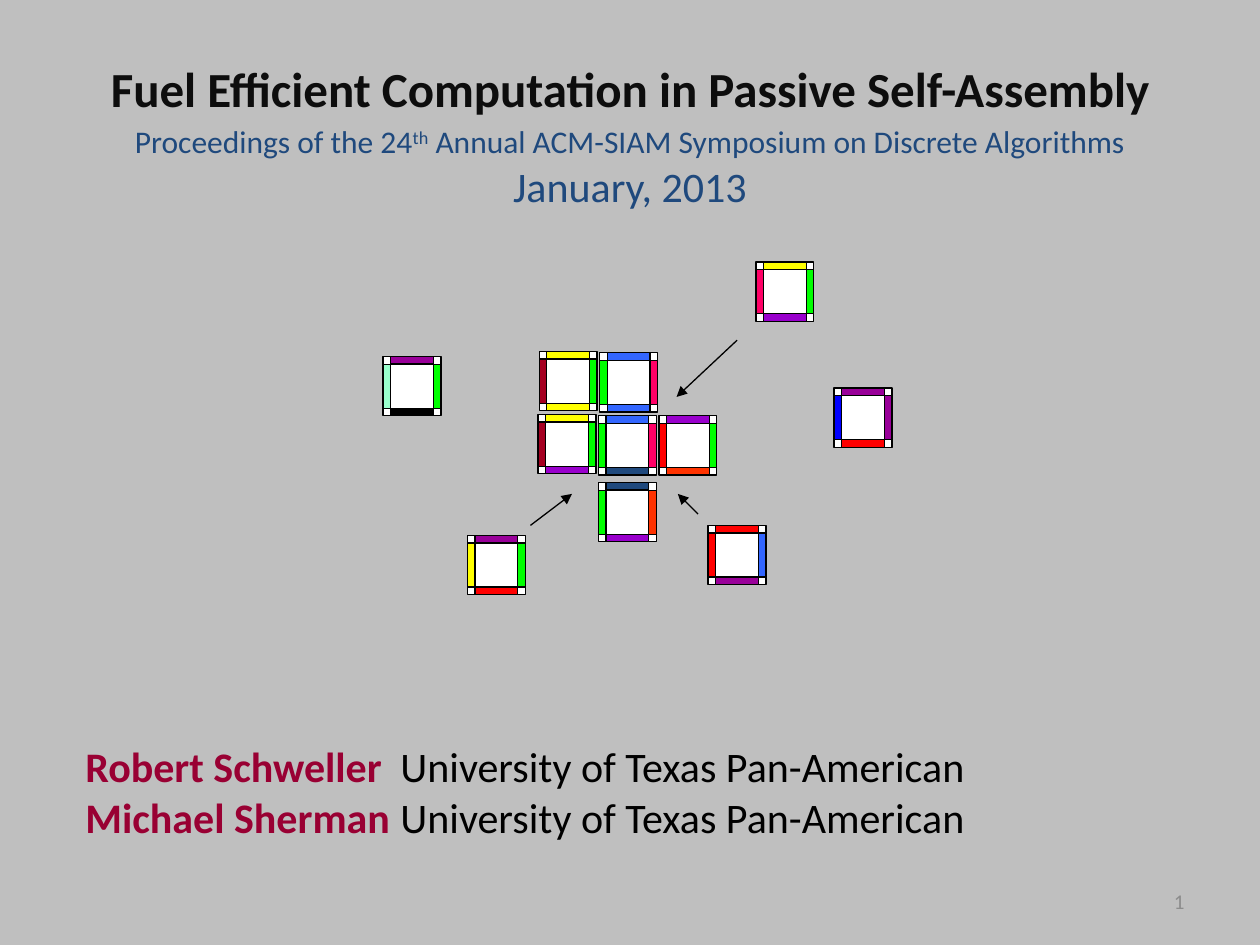
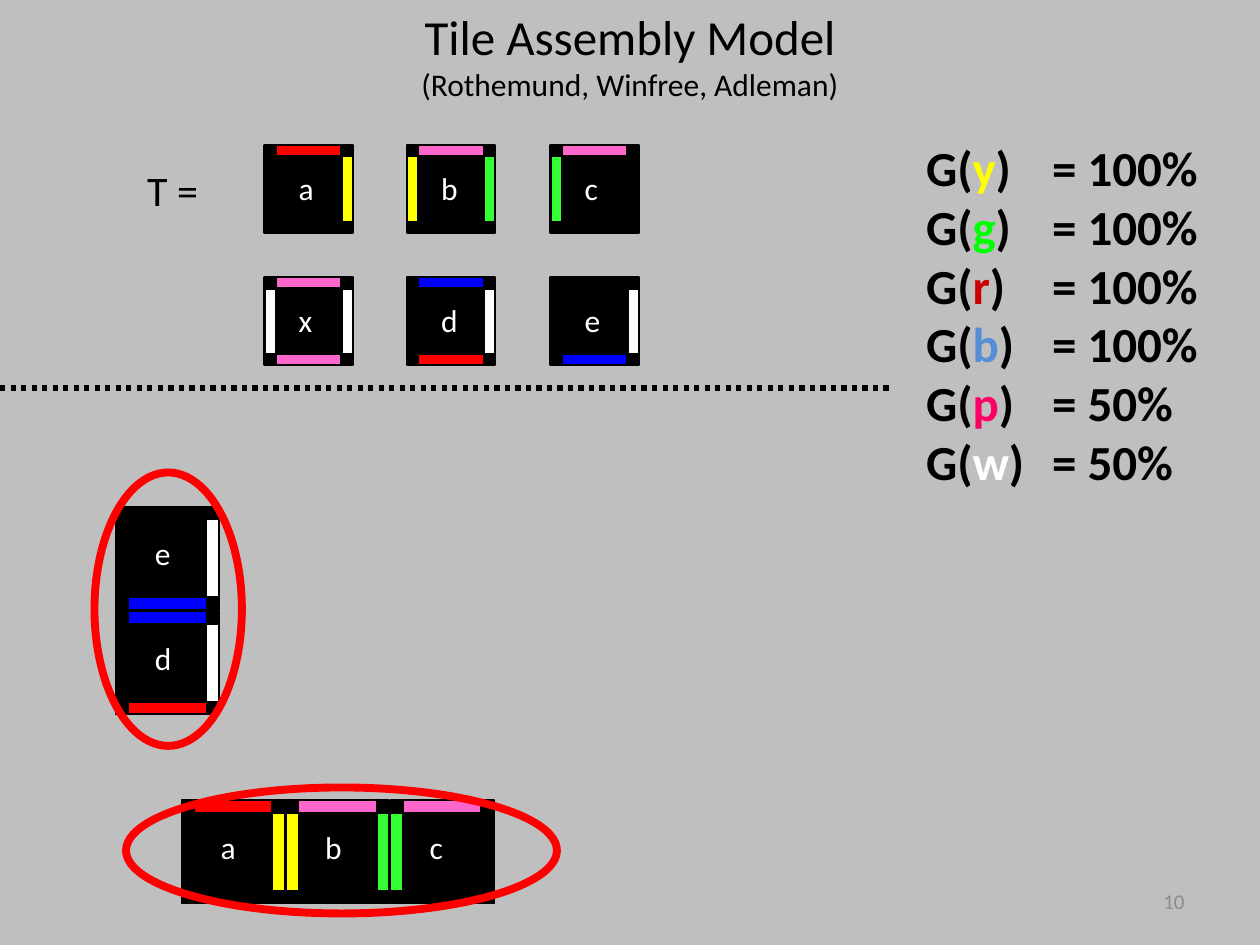
"""Build two slides on tile self-assembly."""
from lxml.etree import SubElement
from pptx import Presentation
from pptx.dml.color import RGBColor
from pptx.enum.dml import MSO_LINE
from pptx.enum.shapes import MSO_CONNECTOR, MSO_SHAPE
from pptx.enum.text import MSO_ANCHOR, MSO_AUTO_SIZE, PP_ALIGN
from pptx.oxml.ns import qn
from pptx.util import Pt

PX = 9144
BACK = RGBColor(0xBF, 0xBF, 0xBF)
GREY = RGBColor(0x8C, 0x8C, 0x8C)
BLACK = RGBColor(0x00, 0x00, 0x00)
INK = RGBColor(0x0D, 0x0D, 0x0D)
WHITE = RGBColor(0xFF, 0xFF, 0xFF)
NAVY = RGBColor(0x1F, 0x49, 0x7D)
WINE = RGBColor(0x99, 0x00, 0x33)
RED = RGBColor(0xFF, 0x00, 0x00)
BRICK = RGBColor(0xCC, 0x00, 0x00)
DARK_RED = RGBColor(0xA5, 0x00, 0x21)
ORANGE = RGBColor(0xFF, 0x33, 0x00)
ROSE = RGBColor(0xFF, 0x00, 0x66)
PINK = RGBColor(0xFF, 0x66, 0xCC)
YELLOW = RGBColor(0xFF, 0xFF, 0x00)
GREEN = RGBColor(0x00, 0xFF, 0x00)
LIME = RGBColor(0x33, 0xFF, 0x33)
MINT = RGBColor(0x99, 0xFF, 0xCC)
BLUE = RGBColor(0x00, 0x00, 0xFF)
AZURE = RGBColor(0x33, 0x66, 0xFF)
SKY = RGBColor(0x55, 0x8E, 0xD5)
PURPLE = RGBColor(0x99, 0x00, 0x99)
VIOLET = RGBColor(0x99, 0x00, 0xCC)


def write(sp, at, paras, align=PP_ALIGN.LEFT, anchor=MSO_ANCHOR.TOP, tab=None, **frame):
    """Place a shape and fill it with runs of (text, size, colour, bold)."""
    sp.left, sp.top, sp.width, sp.height = [v * PX for v in at]
    tf = sp.text_frame
    fmt = {"word_wrap": True, "auto_size": MSO_AUTO_SIZE.NONE, "vertical_anchor": anchor}
    for key, value in (fmt | frame).items():
        setattr(tf, key, value)
    for i, runs in enumerate(paras):
        p = tf.add_paragraph() if i else tf.paragraphs[0]
        pPr = p._p.get_or_add_pPr()
        pPr.set("marL", "0")
        pPr.set("indent", "0")
        SubElement(pPr, qn("a:buNone"))
        if tab:
            tabs = SubElement(pPr, qn("a:tabLst"))
            SubElement(tabs, qn("a:tab"), pos=str(tab * PX), algn="l")
        p.alignment, p.space_before = align, Pt(0)
        for text, size, color, bold in runs:
            r = p.add_run()
            r.text = text
            for key, value in {"name": "Calibri", "size": Pt(size), "bold": bold}.items():
                setattr(r.font, key, value)
            r.font.color.rgb = color


def tile(s, x, y, w, h, edge, fill, line, sides, letter=None):
    """Draw a tile with coloured sides: left, right, top, bottom."""
    rects = [(x, y, w, h),
             (x, y + edge, edge, h - 2 * edge),
             (x + w - edge, y + edge, edge, h - 2 * edge),
             (x + edge, y, w - 2 * edge, edge),
             (x + edge, y + h - edge, w - 2 * edge, edge)]
    for rect, color in zip(rects, (fill, *sides)):
        if color is not None:
            sp = s.shapes.add_shape(MSO_SHAPE.RECTANGLE, *[v * PX for v in rect])
            sp.shadow.inherit = False
            sp.fill.solid()
            sp.fill.fore_color.rgb = color
            sp.line.color.rgb = BLACK
            sp.line.width = Pt(line)
    if letter:
        at = x + w * 39 // 100, y + h * 28 // 100, 15, 33
        write(s.shapes.add_textbox(0, 0, 0, 0), at, [[(letter, 18, WHITE, False)]],
              word_wrap=False, margin_left=0, margin_right=0, margin_top=0, margin_bottom=0)


prs = Presentation()
prs.slide_width, prs.slide_height = 1000 * PX, 750 * PX
bg = prs.slide_master.background.fill
bg.solid()
bg.fore_color.rgb = BACK
s1, s2 = [prs.slides.add_slide(prs.slide_layouts[i]) for i in (0, 1)]
for s, number in ((s1, "1"), (s2, "10")):
    write(s.shapes.add_textbox(0, 0, 0, 0), (717, 695, 233, 40),
          [[(number, 12, GREY, False)]], PP_ALIGN.RIGHT, MSO_ANCHOR.MIDDLE)

write(s1.shapes.title, (0, 32, 1000, 75),
      [[("Fuel Efficient Computation in Passive Self-Assembly", 28, INK, True)]],
      PP_ALIGN.CENTER, MSO_ANCHOR.MIDDLE)
venue = s1.placeholders[1]
write(venue, (0, 92, 1000, 83),
      [[("Proceedings of the 24", 18, NAVY, False), ("th", 18, NAVY, False),
        (" Annual ACM-SIAM Symposium on Discrete Algorithms", 18, NAVY, False)],
       [("January, 2013", 24, NAVY, False)]], PP_ALIGN.CENTER)
venue.text_frame.paragraphs[0].runs[1].font._element.set("baseline", "30000")

for x, y, *sides in [
    (562, 417, RED, AZURE, RED, PURPLE),
    (600, 208, ROSE, GREEN, YELLOW, VIOLET),
    (476, 280, GREEN, ROSE, AZURE, AZURE),
    (475, 383, GREEN, ORANGE, NAVY, VIOLET),
    (523, 330, RED, GREEN, VIOLET, ORANGE),
    (427, 329, DARK_RED, GREEN, YELLOW, VIOLET),
    (475, 330, GREEN, ROSE, AZURE, NAVY),
    (371, 425, YELLOW, GREEN, PURPLE, RED),
    (428, 279, DARK_RED, GREEN, YELLOW, YELLOW),
    (304, 283, MINT, GREEN, PURPLE, BLACK),
    (662, 308, BLUE, PURPLE, PURPLE, RED),
]:
    tile(s1, x, y, 46, 47, 6, WHITE, 0.75, sides)

write(s1.shapes.add_textbox(0, 0, 0, 0), (58, 583, 833, 91),
      [[(name + "\t", 24, WINE, True), ("University of Texas Pan-American", 24, BLACK, False)]
       for name in ("Robert Schweller", "Michael Sherman")], tab=300)

write(s2.shapes.title, (0, 0, 1000, 137),
      [[("Tile Assembly Model", 28, BLACK, False)],
       [("(Rothemund, Winfree, Adleman)", 18, BLACK, False)]], PP_ALIGN.CENTER)
glues = [("y", YELLOW, 100), ("g", GREEN, 100), ("r", BRICK, 100),
         ("b", SKY, 100), ("p", ROSE, 50), ("w", WHITE, 50)]
write(s2.placeholders[1], (725, 104, 275, 293),
      [[("G(", 28, BLACK, True), (glue, 28, color, True), (f")\t= {strength}%", 28, BLACK, True)]
       for glue, color, strength in glues], tab=95)
write(s2.shapes.add_textbox(0, 0, 0, 0), (107, 126, 88, 50),
      [[("T =", 24, BLACK, False)]], word_wrap=False)

tile_set = [("a", None, YELLOW, RED, None), ("b", YELLOW, LIME, PINK, None),
            ("c", LIME, None, PINK, None), ("x", WHITE, WHITE, PINK, PINK),
            ("d", None, WHITE, BLUE, RED), ("e", None, WHITE, None, BLUE)]
kinds = {letter: sides for letter, *sides in tile_set}
for i, letter in enumerate(kinds):
    x, y = 210 + i % 3 * 227 // 2, 115 + i // 3 * 105
    tile(s2, x, y, 70, 70, 9, BLACK, 1.25, kinds[letter], letter)
for letter, x, y in [("d", 92, 485), ("e", 92, 402),
                     ("a", 144, 635), ("b", 227, 635), ("c", 310, 635)]:
    tile(s2, x, y, 82, 82, 10, BLACK, 1, kinds[letter], letter)

for at in [(100, 625, 342, 100), (75, 375, 117, 217)]:
    sp = s2.shapes.add_shape(MSO_SHAPE.OVAL, *[v * PX for v in at])
    sp.shadow.inherit = False
    sp.fill.background()
    sp.line.color.rgb = RED
    sp.line.width = Pt(4.5)

for s, ends, width, dash in [
    (s1, (585, 270, 537, 315), 0.75, None),
    (s1, (421, 417, 454, 392), 0.75, None),
    (s1, (554, 408, 538, 392), 0.75, None),
    (s2, (0, 308, 708, 308), 3, MSO_LINE.ROUND_DOT),
]:
    cn = s.shapes.add_connector(MSO_CONNECTOR.STRAIGHT, *[v * PX for v in ends])
    cn.line.color.rgb = BLACK
    cn.line.width = Pt(width)
    if dash:
        cn.line.dash_style = dash
    else:
        SubElement(cn.line._get_or_add_ln(), qn("a:tailEnd"), type="triangle")
    SubElement(cn._element.spPr, qn("a:effectLst"))

prs.save("out.pptx")
